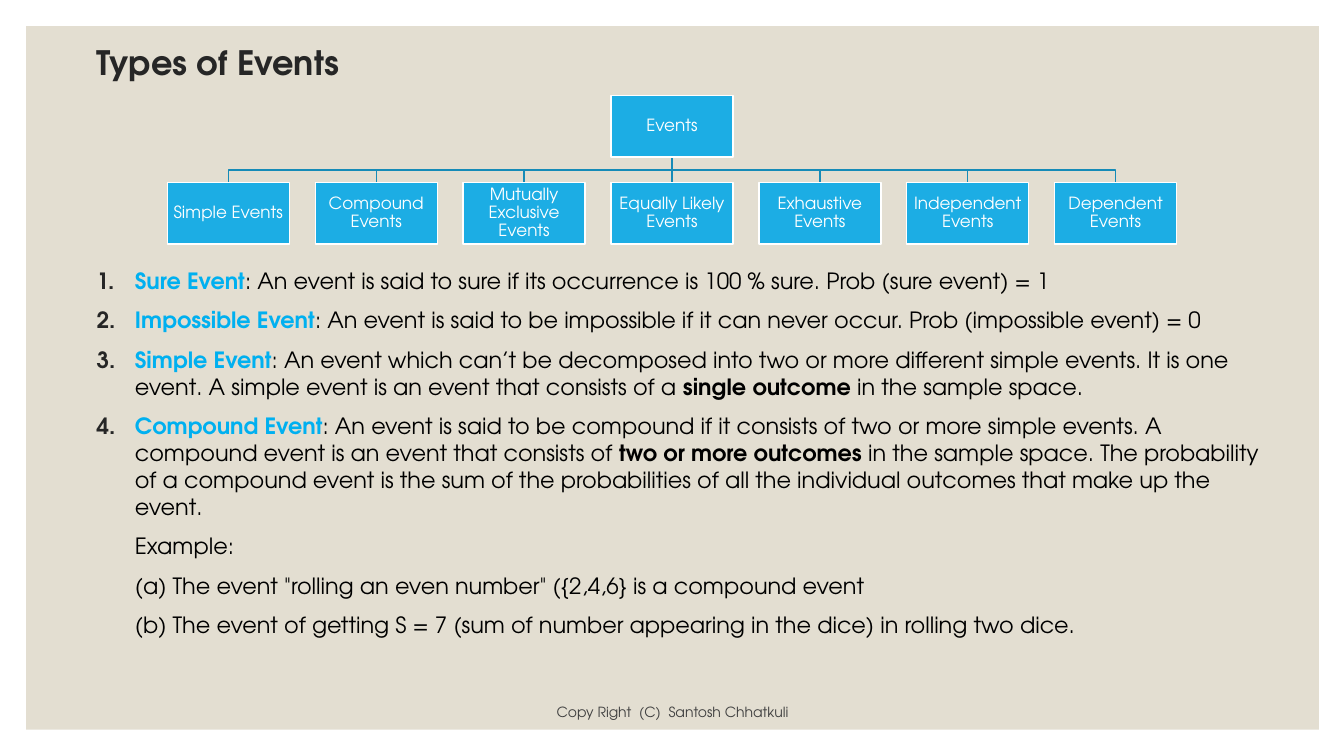
from lxml import etree
from pptx import Presentation
from pptx import util as u
from pptx.dml.color import RGBColor
from pptx.enum import shapes, text
from pptx.oxml.ns import qn

FONT = "TeX Gyre Adventor"
COLORS = {
    "panel": "E3DED1", "title": "262626", "term": "00B0F0", "body": "000000",
    "node": "1CADE4", "branch": "168BB7", "white": "FFFFFF", "footer": "404040",
}
EVENT_TYPES = [
    "Simple Events", "Compound Events", "Mutually Exclusive Events",
    "Equally Likely Events", "Exhaustive Events", "Independent Events",
    "Dependent Events",
]
# Each definition is a list of (text, style) runs
DEFINITIONS = [
    [("Sure Event", "term"),
     (": An event is said to sure if its occurrence is 100 % sure. "
      "Prob (sure event) = 1", "plain")],
    [("Impossible Event", "term"),
     (": An event is said to be impossible if it can never occur. "
      "Prob (impossible event) = 0", "plain")],
    [("Simple Event", "term"),
     (": An event which can’t be decomposed into two or more different simple "
      "events. It is one event. A simple event is an event that consists of a ", "plain"),
     ("single outcome", "strong"),
     (" in the sample space.", "plain")],
    [("Compound Event", "term"),
     (": An event is said to be compound if it consists of two or more simple "
      "events. A compound event is an event that consists of ", "plain"),
     ("two or more outcomes", "strong"),
     (" in the sample space. The probability of a compound event is the sum of "
      "the probabilities of all the individual outcomes that make up the event.", "plain")],
]
EXAMPLES = [
    "Example:",
    '(a) The event "rolling an even number" ({2,4,6} is a compound event',
    "(b) The event of getting S = 7 (sum of number appearing in the dice) in rolling two dice.",
]


def rgb(name):
    return RGBColor.from_string(COLORS[name])


def style(font, size, color, bold=False):
    font.name, font.size, font.bold = FONT, u.Pt(size), bold
    font.color.rgb = rgb(color)


def add_box(s, x, y, w, h, fill, line=None):
    sp = s.shapes.add_shape(shapes.MSO_SHAPE.RECTANGLE,
                            *map(u.Inches, (x, y, w, h)))
    sp.shadow.inherit = False
    sp.fill.solid()
    sp.fill.fore_color.rgb = rgb(fill)
    if line:
        sp.line.color.rgb = rgb(line)
        sp.line.width = u.Pt(1)
    else:
        sp.line.fill.background()
    return sp


def add_title(s, x, y, w, h):
    sp = s.shapes.title
    sp.left, sp.top, sp.width, sp.height = map(u.Inches, (x, y, w, h))
    tf = sp.text_frame
    tf.text = "Types of Events"
    tf.auto_size = text.MSO_AUTO_SIZE.NONE
    tf.vertical_anchor = text.MSO_ANCHOR.MIDDLE
    p = tf.paragraphs[0]
    p.alignment, p.line_spacing = text.PP_ALIGN.LEFT, 0.9
    style(p.runs[0].font, 24, "title", True)


def add_node(s, x, y, w, h, label):
    tf = add_box(s, x, y, w, h, "node", "white").text_frame
    tf.word_wrap = True
    tf.margin_left = tf.margin_right = tf.margin_top = tf.margin_bottom = u.Inches(0.01)
    tf.vertical_anchor = text.MSO_ANCHOR.MIDDLE
    tf.text = label
    p = tf.paragraphs[0]
    p.alignment, p.line_spacing = text.PP_ALIGN.CENTER, 0.9
    style(p.runs[0].font, 12, "white")


def add_branch(s, x1, y1, x2, y2):
    if abs(x1 - x2) < 0.01:
        sp = s.shapes.add_connector(shapes.MSO_CONNECTOR.STRAIGHT,
                                    *map(u.Inches, (x1, y1, x1, y2)))
        etree.SubElement(sp._element.spPr, qn("a:effectLst"))
    else:
        mid = (y1 + y2) / 2
        fb = s.shapes.build_freeform(u.Inches(x1), u.Inches(y1))
        fb.add_line_segments([(u.Inches(x), u.Inches(y)) for x, y in
                              ((x1, mid), (x2, mid), (x2, y2))], close=False)
        sp = fb.convert_to_shape()
        sp.shadow.inherit = False
        sp.fill.background()
    sp.line.color.rgb = rgb("branch")
    sp.line.width = u.Pt(1)


def add_tree(s, x, y, w, h):
    node_w, node_h = 1.21, 0.61
    pitch = (w - node_w) / (len(EVENT_TYPES) - 1)
    center, child_y = x + w / 2, y + h - node_h
    lefts = [x + i * pitch for i in range(len(EVENT_TYPES))]
    for left in lefts:
        add_branch(s, center, y + node_h, left + node_w / 2, child_y)
    add_node(s, center - node_w / 2, y, node_w, node_h, "Events")
    for left, label in zip(lefts, EVENT_TYPES):
        add_node(s, left, child_y, node_w, node_h, label)


def add_definitions(s, x, y, w, h):
    tf = s.shapes.add_textbox(*map(u.Inches, (x, y, w, h))).text_frame
    tf.word_wrap = True
    run_styles = {"term": ("term", True), "plain": ("body", False),
                  "strong": ("body", True)}
    rows = DEFINITIONS + [[(line, "plain")] for line in EXAMPLES]
    for i, row in enumerate(rows):
        p = tf.paragraphs[0] if i == 0 else tf.add_paragraph()
        pPr = p._p.get_or_add_pPr()
        pPr.set("marL", str(u.Inches(0.38)))
        if i < len(DEFINITIONS):
            # Numbered, with a hanging indent
            pPr.set("indent", str(-u.Inches(0.38)))
            clr = etree.SubElement(pPr, qn("a:buClr"))
            etree.SubElement(clr, qn("a:srgbClr"), val=COLORS["title"])
            etree.SubElement(pPr, qn("a:buFont"), typeface=FONT)
            etree.SubElement(pPr, qn("a:buAutoNum"), type="arabicPeriod")
        if i:
            p.space_before = u.Pt(9)
        for content, kind in row:
            r = p.add_run()
            r.text = content
            color, bold = run_styles[kind]
            style(r.font, 16, color, bold)


def add_footer(s, x, y, w, h):
    tf = s.shapes.add_textbox(*map(u.Inches, (x, y, w, h))).text_frame
    tf.word_wrap = True
    tf.vertical_anchor = text.MSO_ANCHOR.BOTTOM
    tf.text = "Copy Right  (C)  Santosh Chhatkuli"
    p = tf.paragraphs[0]
    p.alignment = text.PP_ALIGN.CENTER
    style(p.runs[0].font, 10, "footer")


def main():
    prs = Presentation()
    prs.slide_width, prs.slide_height = u.Inches(13.33), u.Inches(7.5)
    s = prs.slides.add_slide(prs.slide_layouts[5])
    add_box(s, 0.26, 0.26, 12.82, 6.98, "panel")
    # Bring the title in front of the panel
    s.shapes._spTree.append(s.shapes.title._element)
    add_title(s, 0.86, 0.45, 11, 0.38)
    add_tree(s, 1.66, 0.95, 10.01, 1.47)
    add_definitions(s, 0.86, 2.6, 11.8, 4.2)
    add_footer(s, 3.82, 6.9, 5.7, 0.3)
    prs.save("out.pptx")


if __name__ == "__main__":
    main()
